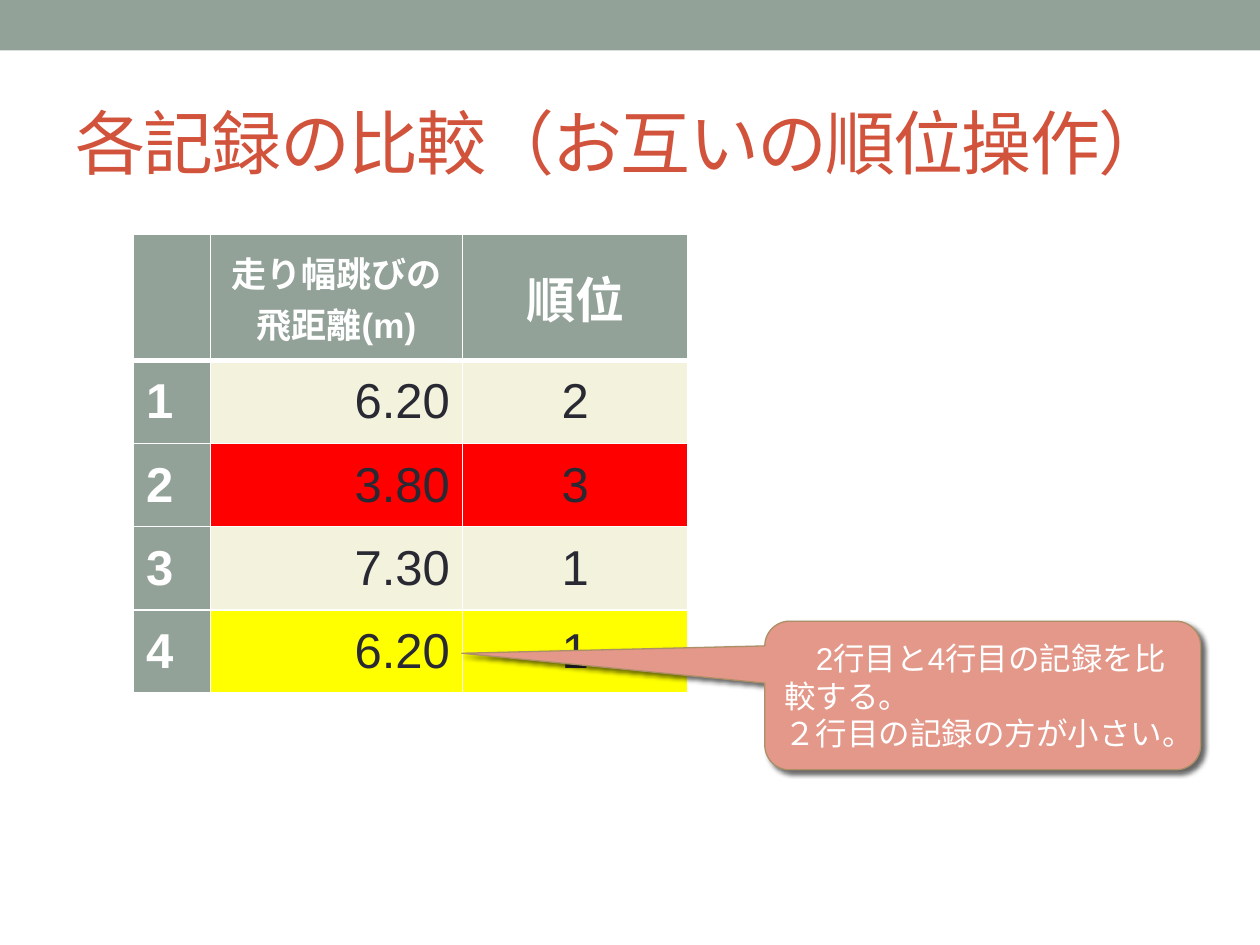
import lxml.etree
import pptx
import pptx.dml.color
import pptx.enum.shapes
import pptx.enum.text
import pptx.oxml
import pptx.oxml.ns
import pptx.util

Inches = pptx.util.Inches
Pt = pptx.util.Pt
ALIGN = pptx.enum.text.PP_ALIGN
MIDDLE = pptx.enum.text.MSO_ANCHOR.MIDDLE
SHAPE = pptx.enum.shapes.MSO_SHAPE
qn = pptx.oxml.ns.qn

FONT = "Arial"
COLORS = {
    "sage": "93A299", "title": "D2533C", "text": "292934", "white": "FFFFFF",
    "cream": "F3F2DC", "red": "FF0000", "yellow": "FFFF00",
    "callout": "E4988A", "outline": "AD8F67",
}
HEADERS = [("", 18), ("走り幅跳びの\n飛距離(m)", 20), ("順位", 28)]
RECORDS = [
    ("1", "6.20", "2", "cream"),
    ("2", "3.80", "3", "red"),
    ("3", "7.30", "1", "cream"),
    ("4", "6.20", "1", "yellow"),
]
COLUMN_WIDTHS = [0.61, 2, 1.79]
COLUMN_ALIGNS = [ALIGN.LEFT, ALIGN.RIGHT, ALIGN.CENTER]
HEADER_HEIGHT, ROW_HEIGHT = 1, 0.66


def rgb(name):
    return pptx.dml.color.RGBColor.from_string(COLORS[name])


def set_text(tf, text, size, color, align=ALIGN.LEFT, bold=False):
    tf.text = text
    for p in tf.paragraphs:
        p.alignment = align
        for r in p.runs:
            r.font.name = FONT
            r.font.size = Pt(size)
            r.font.bold = bold
            r.font.color.rgb = rgb(color)


def set_borders(cell, bottom):
    """Draw white cell borders, with the bottom width given in points."""
    tcPr = cell._tc.get_or_add_tcPr()
    widths = {"lnL": 1, "lnR": 1, "lnT": 1, "lnB": bottom}
    for i, (tag, width) in enumerate(widths.items()):
        ln = pptx.oxml.parse_xml(
            f'<a:{tag} {pptx.oxml.ns.nsdecls("a")} w="{Pt(width)}"><a:solidFill>'
            f'<a:srgbClr val="{COLORS["white"]}"/></a:solidFill></a:{tag}>')
        tcPr.insert(i, ln)


def format_cell(cell, text, size, fill, color, align, bold, bottom=1):
    cell.fill.solid()
    cell.fill.fore_color.rgb = rgb(fill)
    cell.vertical_anchor = MIDDLE
    set_text(cell.text_frame, text, size, color, align, bold)
    set_borders(cell, bottom)


def add_top_bar(slide, width):
    sp = slide.shapes.add_shape(SHAPE.RECTANGLE, 0, 0, width, Inches(0.4))
    sp.shadow.inherit = False
    sp.fill.solid()
    sp.fill.fore_color.rgb = rgb("sage")
    sp.line.fill.background()


def add_title(slide, text):
    sp = slide.shapes.title
    sp.left, sp.top = Inches(0.5), Inches(0.58)
    sp.width, sp.height = Inches(9), Inches(1.08)
    tf = sp.text_frame
    tf.auto_size = pptx.enum.text.MSO_AUTO_SIZE.NONE
    tf.vertical_anchor = MIDDLE
    set_text(tf, text, 40, "title")
    for r in tf.paragraphs[0].runs:
        r._r.get_or_add_rPr().set("spc", "-100")


def add_record_table(slide):
    height = HEADER_HEIGHT + ROW_HEIGHT * len(RECORDS)
    table = slide.shapes.add_table(
        len(RECORDS) + 1, len(HEADERS), Inches(1.06), Inches(1.86),
        Inches(sum(COLUMN_WIDTHS)), Inches(height)).table
    for column, width in zip(table.columns, COLUMN_WIDTHS):
        column.width = Inches(width)
    for i, row in enumerate(table.rows):
        row.height = Inches(ROW_HEIGHT if i else HEADER_HEIGHT)
    for j, (text, size) in enumerate(HEADERS):
        format_cell(table.cell(0, j), text, size, "sage", "white",
                    ALIGN.CENTER, True, bottom=3)
    for i, (*values, fill) in enumerate(RECORDS, start=1):
        for j, value in enumerate(values):
            label = j == 0
            format_cell(table.cell(i, j), value, 28,
                        "sage" if label else fill,
                        "white" if label else "text",
                        COLUMN_ALIGNS[j], label)


def add_shadow(sp):
    sp.shadow.inherit = False
    effects = sp._element.spPr.find(qn("a:effectLst"))
    shadow = lxml.etree.SubElement(
        effects, qn("a:outerShdw"), blurRad=str(Pt(3)), dist=str(Pt(2)),
        dir=str(45 * 60000), algn="tl", rotWithShape="0")
    color = lxml.etree.SubElement(shadow, qn("a:srgbClr"), val="000000")
    lxml.etree.SubElement(color, qn("a:alpha"), val="60000")


def add_callout(slide, text):
    sp = slide.shapes.add_shape(
        SHAPE.ROUNDED_RECTANGULAR_CALLOUT,
        Inches(6.07), Inches(4.93), Inches(3.46), Inches(1.18))
    for i, value in enumerate([-1.195, -0.284, 0.167]):
        sp.adjustments[i] = value
    sp.fill.solid()
    sp.fill.fore_color.rgb = rgb("callout")
    sp.line.color.rgb = rgb("outline")
    sp.line.width = Pt(0.75)
    add_shadow(sp)
    tf = sp.text_frame
    tf.word_wrap = True
    tf.vertical_anchor = MIDDLE
    set_text(tf, text, 18, "white")


def main():
    prs = pptx.Presentation()
    prs.slide_width, prs.slide_height = Inches(10), Inches(7.5)
    slide = prs.slides.add_slide(prs.slide_layouts[5])
    add_top_bar(slide, prs.slide_width)
    add_title(slide, "各記録の比較（お互いの順位操作）")
    add_record_table(slide)
    add_callout(slide, "　2行目と4行目の記録を比較する。\n２行目の記録の方が小さい。")
    prs.save("out.pptx")


if __name__ == "__main__":
    main()
